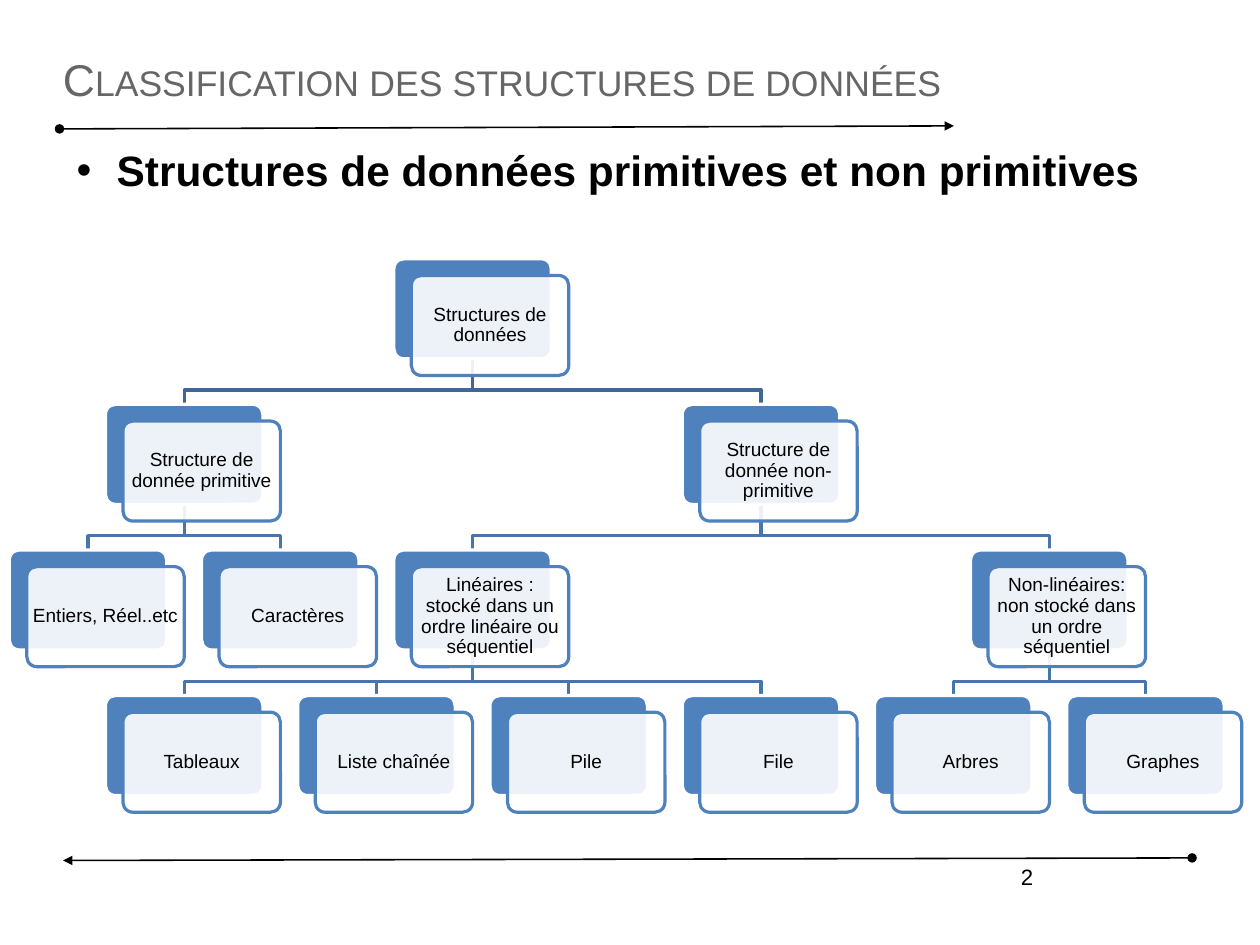
import dataclasses
import typing

import lxml.etree
import pptx
import pptx.dml.color
import pptx.enum.shapes
import pptx.enum.text
import pptx.oxml.ns
import pptx.util

Pt = pptx.util.Pt
qn = pptx.oxml.ns.qn
RGBColor = pptx.dml.color.RGBColor
Shapes = pptx.enum.shapes.MSO_SHAPE
Align = pptx.enum.text.PP_ALIGN
Anchor = pptx.enum.text.MSO_ANCHOR

BLACK = RGBColor(0x00, 0x00, 0x00)
WHITE = RGBColor(0xFF, 0xFF, 0xFF)
GREY = RGBColor(0x66, 0x66, 0x66)
BLUE = RGBColor(0x4F, 0x81, 0xBD)
ROOT_LINK = RGBColor(0x3F, 0x67, 0x97)
LINK = RGBColor(0x48, 0x75, 0xAC)

FIRST_CENTER, COLUMN_STEP = 55.5, 60.56
FIRST_TOP, ROW_STEP = 163, 91.7
BOX_WIDTH, BOX_HEIGHT = 99.2, 63
FRONT_DX, FRONT_DY = 11, 10.5
BEND_DROP = 19.7


@dataclasses.dataclass(frozen=True)
class Node:
    label: str
    column: int
    row: int
    children: tuple["Node", ...] = ()

    @property
    def center(self) -> float:
        return FIRST_CENTER + self.column * COLUMN_STEP

    @property
    def top(self) -> float:
        return FIRST_TOP + self.row * ROW_STEP


@dataclasses.dataclass(frozen=True)
class Rule:
    start: tuple[float, float]
    end: tuple[float, float]


RULES = (
    Rule((37.5, 81.2), (601, 79.3)),
    Rule((751, 540.4), (39.7, 542)),
)

LINEAR = Node("Linéaires : stocké dans un ordre linéaire ou séquentiel", 4, 2, (
    Node("Tableaux", 1, 3),
    Node("Liste chaînée", 3, 3),
    Node("Pile", 5, 3),
    Node("File", 7, 3),
))
NON_LINEAR = Node("Non-linéaires: non stocké dans un ordre séquentiel", 10, 2, (
    Node("Arbres", 9, 3),
    Node("Graphes", 11, 3),
))
PRIMITIVE = Node("Structure de donnée primitive", 1, 1, (
    Node("Entiers, Réel..etc", 0, 2),
    Node("Caractères", 2, 2),
))
NON_PRIMITIVE = Node("Structure de donnée non-primitive", 7, 1, (LINEAR, NON_LINEAR))
ROOT = Node("Structures de données", 4, 0, (PRIMITIVE, NON_PRIMITIVE))


def write(shape: typing.Any, text: str, *, size: float, color: RGBColor = BLACK,
          bold: bool = False, small_caps: bool = False, bullet: bool = False,
          align: Align = Align.LEFT, anchor: Anchor = Anchor.TOP,
          inset: tuple[float, float] = (0, 0), spacing: float = 1,
          before: float = 0) -> None:
    frame = shape.text_frame
    frame.word_wrap = True
    frame.vertical_anchor = anchor
    frame.margin_left = frame.margin_right = Pt(inset[0])
    frame.margin_top = frame.margin_bottom = Pt(inset[1])
    paragraph = frame.paragraphs[0]
    paragraph.alignment = align
    paragraph.line_spacing = spacing
    paragraph.space_before = Pt(before)
    run = paragraph.add_run()
    run.text = text
    run.font.name = "Arial"
    run.font.size = Pt(size)
    run.font.bold = bold
    run.font.color.rgb = color
    if small_caps:
        run.font._element.set("cap", "small")
    if bullet:
        properties = paragraph._p.get_or_add_pPr()
        properties.set("marL", str(Pt(33.8)))
        properties.set("indent", str(Pt(-25.2)))
        lxml.etree.SubElement(properties, qn("a:buFont"), typeface="Arial")
        lxml.etree.SubElement(properties, qn("a:buChar"), char="•")


def add_text_box(slide: typing.Any, left: float, top: float, width: float,
                 height: float) -> typing.Any:
    return slide.shapes.add_textbox(Pt(left), Pt(top), Pt(width), Pt(height))


def add_rule(slide: typing.Any, rule: Rule) -> None:
    """Draw a thin line from a dot to an arrowhead."""
    line = slide.shapes.add_connector(
        pptx.enum.shapes.MSO_CONNECTOR.STRAIGHT,
        *(Pt(value) for value in rule.start + rule.end))
    line.line.color.rgb = BLACK
    line.line.width = Pt(1)
    outline = line.line._get_or_add_ln()
    lxml.etree.SubElement(outline, qn("a:headEnd"), type="oval")
    lxml.etree.SubElement(outline, qn("a:tailEnd"), type="triangle")
    lxml.etree.SubElement(line._element.spPr, qn("a:effectLst"))


def add_link(slide: typing.Any, parent: Node, child: Node) -> None:
    start = parent.top + BOX_HEIGHT
    bend = start + BEND_DROP
    corners = ((parent.center, bend), (child.center, bend), (child.center, child.top))
    builder = slide.shapes.build_freeform(Pt(parent.center), Pt(start))
    builder.add_line_segments([(Pt(x), Pt(y)) for x, y in corners], close=False)
    link = builder.convert_to_shape()
    link.shadow.inherit = False
    link.fill.background()
    link.line.color.rgb = ROOT_LINK if parent is ROOT else LINK
    link.line.width = Pt(2)


def add_panel(slide: typing.Any, kind: Shapes, left: float, top: float, width: float,
              height: float, fill: RGBColor, outline: RGBColor | None = None) -> typing.Any:
    panel = slide.shapes.add_shape(kind, Pt(left), Pt(top), Pt(width), Pt(height))
    panel.shadow.inherit = False
    panel.fill.solid()
    panel.fill.fore_color.rgb = fill
    if outline is None:
        panel.line.fill.background()
    else:
        panel.line.color.rgb = outline
        panel.line.width = Pt(2)
    return panel


def add_card(slide: typing.Any, left: float, top: float, fill: RGBColor,
             outline: RGBColor) -> typing.Any:
    card = add_panel(slide, Shapes.ROUNDED_RECTANGLE, left, top, BOX_WIDTH, BOX_HEIGHT,
                     fill, outline)
    card.adjustments[0] = 0.1
    return card


def add_node(slide: typing.Any, node: Node) -> None:
    """Draw a blue card with a translucent labelled card over it."""
    left = node.center - BOX_WIDTH / 2
    add_card(slide, left, node.top, BLUE, WHITE)
    front = add_card(slide, left + FRONT_DX, node.top + FRONT_DY, WHITE, BLUE)
    white = front._element.spPr.find(qn("a:solidFill"))[0]
    lxml.etree.SubElement(white, qn("a:alpha"), val="90000")
    write(front, node.label, size=12, align=Align.CENTER, anchor=Anchor.MIDDLE,
          inset=(1.8, 1.8), spacing=0.9)


def walk(node: Node) -> typing.Iterator[Node]:
    yield node
    for child in node.children:
        yield from walk(child)


def main() -> None:
    presentation = pptx.Presentation()
    presentation.slide_width = Pt(793.75)
    presentation.slide_height = Pt(595.25)
    slide = presentation.slides.add_slide(presentation.slide_layouts[6])

    for rule in RULES:
        add_rule(slide, rule)
    write(add_text_box(slide, 473, 540.5, 185, 41), "2", size=14,
          align=Align.RIGHT, inset=(7.2, 3.6))
    write(add_text_box(slide, 39.7, 23.8, 714, 51.8),
          "Classification des structures de données", size=28, color=GREY,
          small_caps=True, anchor=Anchor.MIDDLE)
    write(add_panel(slide, Shapes.RECTANGLE, 39.7, 90.7, 713.5, 157.7, WHITE),
          "Structures de données primitives et non primitives", size=26.7,
          bold=True, bullet=True, before=9.4)

    nodes = list(walk(ROOT))
    for parent in nodes:
        for child in parent.children:
            add_link(slide, parent, child)
    for node in nodes:
        add_node(slide, node)

    presentation.save("out.pptx")


if __name__ == "__main__":
    main()
